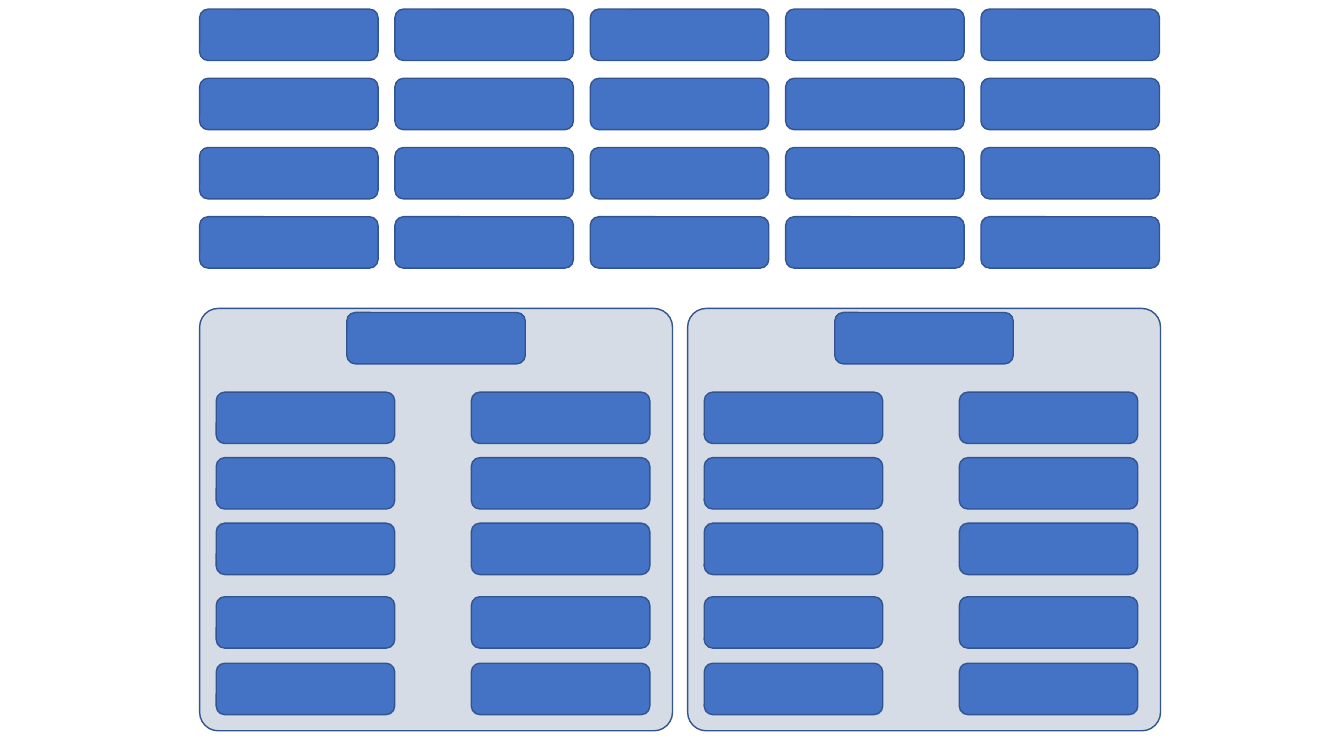
from pptx import Presentation
from pptx.dml.color import RGBColor
from pptx.enum import shapes
from pptx.util import Inches, Pt

HUES = {"card": "4472C4", "panel": "D6DCE5", "edge": "325491"}
WIDE, HIGH = Inches(1.77), Inches(0.51)


def block(slide, left, top, wide, high, hue):
    kind = shapes.MSO_SHAPE.ROUNDED_RECTANGLE
    shape = slide.shapes.add_shape(kind, left, top, wide, high)
    shape.shadow.inherit = False
    shape.fill.solid()
    shape.fill.fore_color.rgb = RGBColor.from_string(HUES[hue])
    shape.line.color.rgb = RGBColor.from_string(HUES["edge"])
    shape.line.width = Pt(1)
    return shape


def card(slide, left, top):
    block(slide, left, top, WIDE, HIGH, "card")


def grid(slide, left, top, wide, high, rows=4, cols=5):
    across = (wide - WIDE) / (cols - 1)
    down = (high - HIGH) / (rows - 1)
    for row in range(rows):
        for col in range(cols):
            card(slide, round(left + col * across), round(top + row * down))


def panel(slide, left, top, wide, high):
    frame = block(slide, left, top, wide, high, "panel")
    frame.adjustments[0] = 0.044
    card(slide, left + (wide - WIDE) // 2, top + Inches(0.04))
    for down in (0.83, 1.48, 2.13, 2.86, 3.52):
        for across in (0.165, 2.695):
            card(slide, left + Inches(across), top + Inches(down))


deck = Presentation()
deck.slide_width, deck.slide_height = Inches(13.33), Inches(7.5)
slide = deck.slides.add_slide(deck.slide_layouts[6])

grid(slide, Inches(1.98), Inches(0.09), Inches(9.52), Inches(2.57))
for left in (1.98, 6.82):
    panel(slide, Inches(left), Inches(3.06), Inches(4.69), Inches(4.19))

deck.save("out.pptx")
